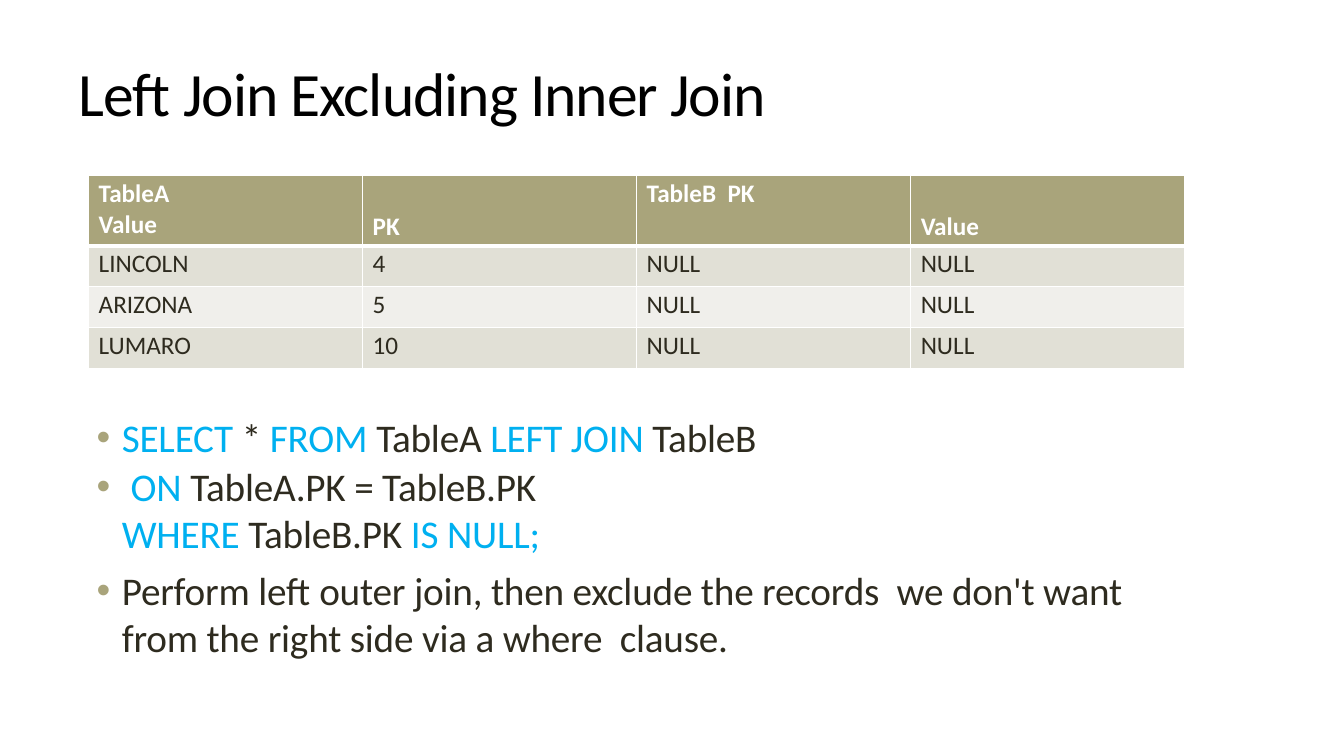
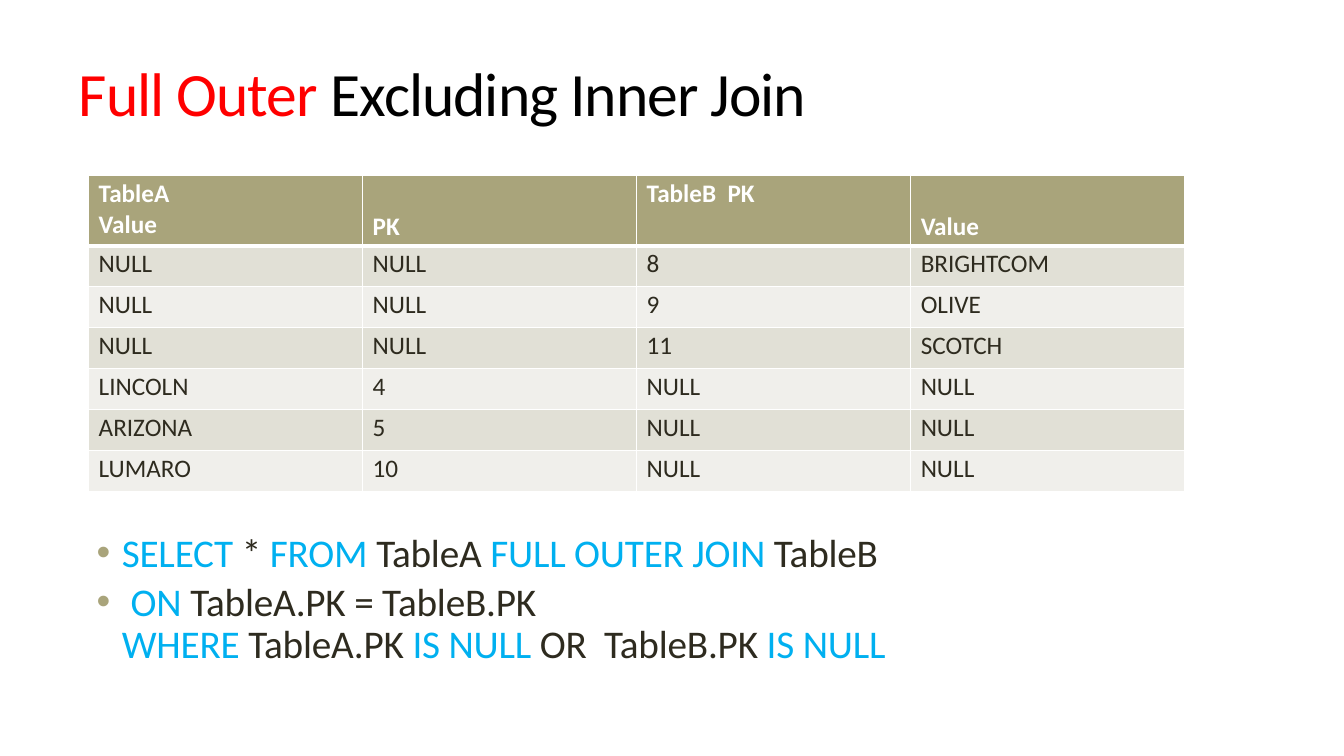
import pptx
import pptx.dml.color
import pptx.enum.text
import pptx.oxml
import pptx.oxml.ns
import pptx.util
import lxml.etree

RGB = pptx.dml.color.RGBColor
BLACK = RGB(0x00, 0x00, 0x00)
WHITE = RGB(0xFF, 0xFF, 0xFF)
RED = RGB(0xFF, 0x00, 0x00)
BLUE = RGB(0x00, 0xB0, 0xF0)
INK = RGB(0x2E, 0x2B, 0x1F)
OLIVE = RGB(0xA9, 0xA4, 0x7B)
BANDS = [RGB(0xF0, 0xEF, 0xEB), RGB(0xE1, 0xE0, 0xD6)]

Pt = pptx.util.Pt
ANCHOR = pptx.enum.text.MSO_ANCHOR
qn = pptx.oxml.ns.qn
HEAD = ["TableA\nValue", "PK", "TableB  PK", "Value"]
LEFT_ROWS = [
    ["LINCOLN", "4", "NULL", "NULL"],
    ["ARIZONA", "5", "NULL", "NULL"],
    ["LUMARO", "10", "NULL", "NULL"],
]
RIGHT_ROWS = [
    ["NULL", "NULL", "8", "BRIGHTCOM"],
    ["NULL", "NULL", "9", "OLIVE"],
    ["NULL", "NULL", "11", "SCOTCH"],
]


def px(count):
    return pptx.util.Emu(count * 9525)


def apply(target, values):
    for name, value in values.items():
        setattr(target, name, value)


class Deck:
    FONT = "Calibri"
    TITLE = {"size": Pt(44), "bold": False}
    LIST = {"size": Pt(28), "bold": False}
    CELL = {"size": Pt(18), "bold": False}
    TOP = {"size": Pt(18), "bold": True}

    def __init__(self):
        self.file = pptx.Presentation()
        apply(self.file, {"slide_width": px(1280), "slide_height": px(720)})
        self.slide = None

    def add(self):
        self.slide = self.file.slides.add_slide(self.file.slide_layouts[1])

    def text(self, para, words, style, colors, track=0):
        for turn, piece in enumerate(words.split("|")):
            for count, part in enumerate(piece.split("\n")):
                if count:
                    para.add_line_break()
                if not part:
                    continue
                run = para.add_run()
                run.text = part
                apply(run.font, {"name": self.FONT, **style})
                run.font.color.rgb = colors[turn % 2]
                run._r.get_or_add_rPr().set("spc", str(track))

    def place(self, index, box, inset, anchor):
        shape = self.slide.placeholders[index]
        names = ("left", "top", "width", "height")
        apply(shape, dict(zip(names, map(px, box))))
        frame = shape.text_frame
        apply(frame, {
            "margin_left": 0, "margin_right": 0, "margin_bottom": 0,
            "margin_top": px(inset), "vertical_anchor": anchor,
            "word_wrap": True,
            "auto_size": pptx.enum.text.MSO_AUTO_SIZE.NONE,
        })
        return frame

    def title(self, words):
        frame = self.place(0, (75, 51, 1024, 73), 1, ANCHOR.MIDDLE)
        para = frame.paragraphs[0]
        para.alignment = pptx.enum.text.PP_ALIGN.LEFT
        self.text(para, words, self.TITLE, [BLACK, RED], -75)

    def list(self, lines, box, inset, gaps, pitch):
        frame = self.place(1, box, inset, ANCHOR.TOP)
        for count, (line, gap) in enumerate(zip(lines, gaps)):
            para = frame.add_paragraph() if count else frame.paragraphs[0]
            apply(para, {"space_before": Pt(gap), "line_spacing": pitch})
            props = para._p.get_or_add_pPr()
            props.set("marL", str(px(25)))
            props.set("indent", str(px(-24)))
            tint = lxml.etree.SubElement(props, qn("a:buClr"))
            lxml.etree.SubElement(tint, qn("a:srgbClr"), val=str(OLIVE))
            lxml.etree.SubElement(props, qn("a:buChar"), char="•")
            self.text(para, line, self.LIST, [INK, BLUE], -15)

    def edge(self, cell, side, width):
        props = cell._tc.get_or_add_tcPr()
        line = lxml.etree.SubElement(props, qn("a:ln" + side), w=str(Pt(width)))
        fill = lxml.etree.SubElement(line, qn("a:solidFill"))
        lxml.etree.SubElement(fill, qn("a:srgbClr"), val=str(WHITE))

    def table(self, rows):
        rows = [HEAD] + rows
        high = 67 + 39 * (len(rows) - 1)
        grid = self.slide.shapes.add_table(
            len(rows), len(HEAD), px(84), px(167), px(1044), px(high)).table
        for col in grid.columns:
            col.width = px(261)
        for r, row in enumerate(rows):
            grid.rows[r].height = px(39 if r else 67)
            for c, words in enumerate(row):
                cell = grid.cell(r, c)
                low = r == 0 and c % 2
                apply(cell, {
                    "margin_left": px(10), "margin_right": 0,
                    "margin_top": px(3), "margin_bottom": px(3),
                    "vertical_anchor": ANCHOR.BOTTOM if low else ANCHOR.TOP,
                })
                widths = {"L": 1, "R": 1, "T": 3 if r == 1 else 1,
                          "B": 1 if r else 3}
                for side, width in widths.items():
                    self.edge(cell, side, width)
                cell.fill.solid()
                cell.fill.fore_color.rgb = BANDS[r % 2] if r else OLIVE
                self.text(cell.text_frame.paragraphs[0], words,
                          self.CELL if r else self.TOP,
                          [INK if r else WHITE])


def main():
    deck = Deck()

    deck.add()
    deck.title("Left Join Excluding Inner Join")
    deck.list([
        "|SELECT |* |FROM |TableA |LEFT JOIN |TableB",
        " |ON |TableA.PK = TableB.PK\n|WHERE |TableB.PK |IS NULL;",
        "Perform left outer join, then exclude the records  we don't want "
        "from the right side via a where  clause.",
    ], (91, 393, 1011, 237), 1, [1, 1, 7], 1.0)
    deck.table(LEFT_ROWS)

    deck.add()
    deck.title("|Full Outer |Excluding Inner Join")
    deck.list([
        "|SELECT |* |FROM |TableA |FULL OUTER JOIN |TableB",
        " |ON |TableA.PK = TableB.PK\n"
        "|WHERE |TableA.PK |IS NULL |OR  TableB.PK |IS NULL",
    ], (91, 501, 1045, 134), 7, [5, 5], Pt(30))
    deck.table(RIGHT_ROWS + LEFT_ROWS)

    deck.file.save("out.pptx")


if __name__ == "__main__":
    main()
